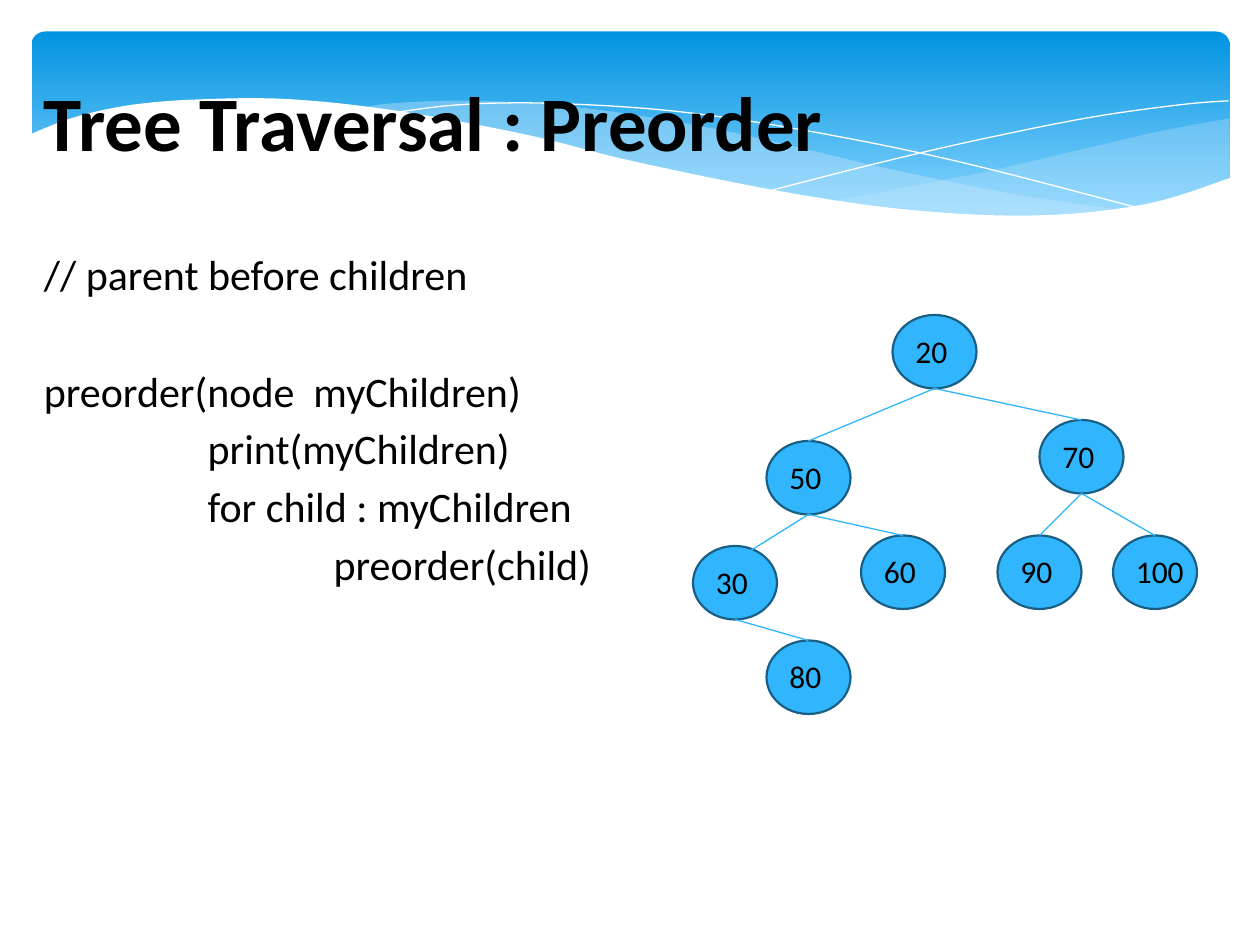
from dataclasses import dataclass

from lxml.etree import SubElement
from pptx import Presentation
from pptx.dml.color import RGBColor
from pptx.enum.shapes import MSO_CONNECTOR, MSO_SHAPE
from pptx.enum.text import MSO_ANCHOR
from pptx.oxml.ns import qn
from pptx.util import Pt

BLACK = RGBColor(0x00, 0x00, 0x00)
WHITE = RGBColor(0xFF, 0xFF, 0xFF)
SKY_TOP = RGBColor(0x02, 0x93, 0xE0)
SKY_BOTTOM = RGBColor(0x83, 0xD3, 0xFE)
MIST = RGBColor(0xC6, 0xE7, 0xFC)
NODE_BLUE = RGBColor(0x31, 0xB6, 0xFD)
NODE_EDGE = RGBColor(0x19, 0x5F, 0x84)
FONT = "Calibri"
NODE_W, NODE_H = 48, 42
LABEL_OFFSET = 6
CURVE_STEPS = 6

Point = tuple[float, float]


@dataclass
class Wave:
    """Smooth edges joined in order, then straight corners."""
    edges: list[list[Point]]
    color: RGBColor
    opacity: int = 100
    corners: tuple[Point, ...] = ()


@dataclass
class Node:
    value: int
    left: float
    top: float


@dataclass
class CodeLine:
    text: str
    indent: float = 0
    space_before: float = 4.2


@dataclass
class Branch:
    parent: int
    child: int
    start_shift: float = 0
    end_shift: Point = (0, 0)


WAVES = [
    Wave([[(702.7, 67.7), (663, 75), (620, 85), (561, 98.6), (476, 115)],
          [(476, 115), (527, 120.2), (579, 123.8), (628, 122.8), (668, 113.8), (702.7, 101.5)]],
         MIST, 29),
    Wave([[(643, 120.2), (581, 111.2), (508, 96.5), (453, 83.5), (400, 72),
           (335, 61.9), (274, 57.6), (225, 59), (206, 61.9)],
          [(206, 61.9), (261, 70), (323, 83.5), (407.5, 103), (479, 116),
           (548, 123), (603, 124), (643, 120.2)]],
         MIST, 40),
]
WAVE_LINES = [
    [(222.5, 64.8), (261, 60), (312, 59), (384, 63.4), (458, 74.2), (547, 92.2), (653, 119.5)],
    [(441, 108.7), (500, 93.6), (559, 79.9), (623.5, 67), (675, 59.8), (702, 57.6)],
]
FRONT_WAVE = Wave(
    [[(703.4, 101.5), (655, 116.6), (593, 123.1), (523, 120.2), (451, 110.2),
      (362, 92.2), (301, 77), (227.5, 63.4), (166, 56.7), (116, 56.7),
      (76, 59.8), (42.5, 67), (16.6, 77)]],
    WHITE, corners=((16.6, 161), (703.4, 161)))

CODE = [
    CodeLine("// parent before children", space_before=0),
    CodeLine("preorder(node  myChildren)", space_before=37.8),
    CodeLine("print(myChildren)", 93.6),
    CodeLine("for child : myChildren", 93.6),
    CodeLine("preorder(child)", 165.6),
]

NODES = [
    Node(20, 510, 180), Node(30, 396, 312), Node(70, 594, 240), Node(50, 438, 252),
    Node(60, 492, 306), Node(90, 570, 306), Node(100, 636, 306), Node(80, 438, 366),
]
BRANCHES = [
    Branch(20, 50), Branch(20, 70), Branch(50, 30, end_shift=(3.5, 6)), Branch(50, 60),
    Branch(30, 80), Branch(70, 90), Branch(70, 100),
]


def smooth(knots: list[Point]) -> list[Point]:
    """Sample a Catmull-Rom curve through the knots."""
    padded = [knots[0], *knots, knots[-1]]
    curve = [knots[0]]
    for a, b, c, d in zip(padded, padded[1:], padded[2:], padded[3:]):
        for step in range(1, CURVE_STEPS + 1):
            t = step / CURVE_STEPS
            curve.append(tuple(
                (2 * q + (r - p) * t + (2 * p - 5 * q + 4 * r - s) * t**2
                 + (3 * q - p - 3 * r + s) * t**3) / 2
                for p, q, r, s in zip(a, b, c, d)))
    return curve


def draw_outline(slide, points: list[Point], close: bool):
    start, *rest = [(Pt(x), Pt(y)) for x, y in points]
    builder = slide.shapes.build_freeform(*start)
    builder.add_line_segments(rest, close=close)
    outline = builder.convert_to_shape()
    outline.shadow.inherit = False
    return outline


def draw_wave(slide, wave: Wave) -> None:
    points = [point for edge in wave.edges for point in smooth(edge)]
    body = draw_outline(slide, points + list(wave.corners), close=True)
    body.fill.solid()
    body.fill.fore_color.rgb = wave.color
    body.line.fill.background()
    if wave.opacity < 100:
        color = body._element.spPr.find(qn("a:solidFill")).find(qn("a:srgbClr"))
        SubElement(color, qn("a:alpha")).set("val", str(wave.opacity * 1000))


def draw_wave_line(slide, knots: list[Point]) -> None:
    stroke = draw_outline(slide, smooth(knots), close=False)
    stroke.fill.background()
    stroke.line.color.rgb = WHITE
    stroke.line.width = Pt(0)


def draw_banner(slide) -> None:
    banner = slide.shapes.add_shape(MSO_SHAPE.ROUNDED_RECTANGLE, Pt(18), Pt(18), Pt(684.7), Pt(112.3))
    banner.adjustments[0] = 0.07
    banner.shadow.inherit = False
    banner.line.fill.background()
    banner.fill.gradient()
    banner.fill.gradient_angle = 270
    for stop, color, position in zip(banner.fill.gradient_stops, (SKY_TOP, SKY_BOTTOM), (0, 0.9)):
        stop.color.rgb = color
        stop.position = position


def add_text(slide, left: float, top: float, width: float, height: float,
             lines: list[CodeLine], size: float, bold: bool = False):
    frame = slide.shapes.add_textbox(Pt(left), Pt(top), Pt(width), Pt(height)).text_frame
    frame.word_wrap = True
    for index, line in enumerate(lines):
        paragraph = frame.add_paragraph() if index else frame.paragraphs[0]
        paragraph.text = line.text
        paragraph.space_before = Pt(line.space_before)
        paragraph.font.name = FONT
        paragraph.font.size = Pt(size)
        paragraph.font.bold = bold
        paragraph.font.color.rgb = BLACK
        if line.indent:
            paragraph._p.get_or_add_pPr().set("marL", str(Pt(line.indent)))
    return frame


def draw_node(slide, node: Node) -> None:
    circle = slide.shapes.add_shape(MSO_SHAPE.OVAL, Pt(node.left), Pt(node.top), Pt(NODE_W), Pt(NODE_H))
    circle.shadow.inherit = False
    circle.fill.solid()
    circle.fill.fore_color.rgb = NODE_BLUE
    circle.line.color.rgb = NODE_EDGE
    circle.line.width = Pt(1.25)
    add_text(slide, node.left + LABEL_OFFSET, node.top + LABEL_OFFSET, 42, 28.8,
             [CodeLine(str(node.value), space_before=0)], 18)


def draw_branch(slide, branch: Branch, nodes: dict[int, Node]) -> None:
    parent, child = nodes[branch.parent], nodes[branch.child]
    shift_x, shift_y = branch.end_shift
    edge = slide.shapes.add_connector(
        MSO_CONNECTOR.STRAIGHT,
        Pt(parent.left + NODE_W / 2 + branch.start_shift), Pt(parent.top + NODE_H),
        Pt(child.left + NODE_W / 2 + shift_x), Pt(child.top + shift_y))
    edge.line.color.rgb = NODE_BLUE
    edge.line.width = Pt(0.75)
    SubElement(edge._element.spPr, qn("a:effectLst"))


def main() -> None:
    deck = Presentation()
    deck.slide_width, deck.slide_height = Pt(720), Pt(540)
    slide = deck.slides.add_slide(deck.slide_layouts[6])

    # Banner with waves
    draw_banner(slide)
    for wave in WAVES:
        draw_wave(slide, wave)
    for knots in WAVE_LINES:
        draw_wave_line(slide, knots)
    draw_wave(slide, FRONT_WAVE)

    # Title and pseudocode
    title = add_text(slide, 18, 24, 648, 90, [CodeLine("Tree Traversal : Preorder", space_before=0)], 44, True)
    title.vertical_anchor = MSO_ANCHOR.MIDDLE
    add_text(slide, 18, 138.5, 690, 321, CODE, 24)

    # Tree
    for node in NODES:
        draw_node(slide, node)
    nodes = {node.value: node for node in NODES}
    for branch in BRANCHES:
        draw_branch(slide, branch, nodes)

    deck.save("out.pptx")


if __name__ == "__main__":
    main()
